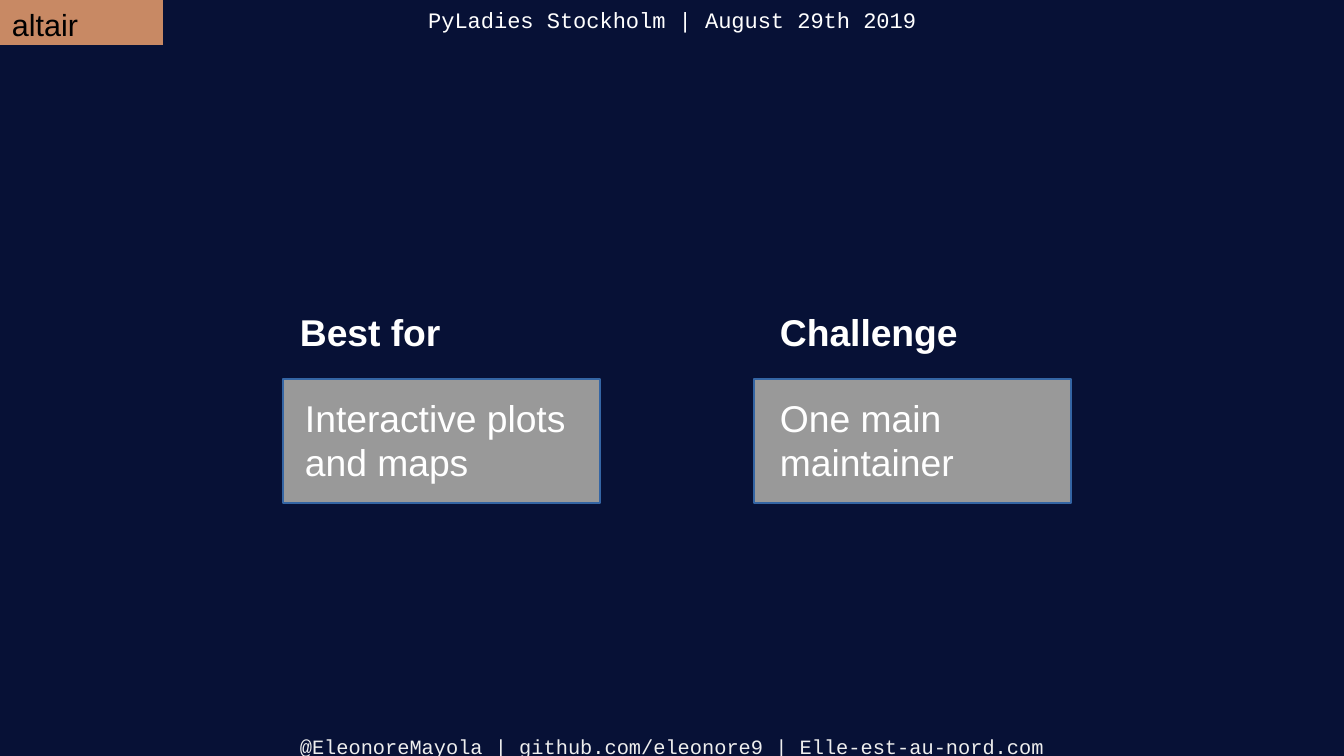
from dataclasses import dataclass

from lxml.etree import SubElement
from pptx import Presentation
from pptx.dml.color import RGBColor
from pptx.enum.shapes import MSO_SHAPE
from pptx.enum.text import MSO_ANCHOR, PP_ALIGN
from pptx.oxml.ns import qn
from pptx.shapes.autoshape import Shape
from pptx.slide import Slide
from pptx.util import Emu, Pt

PIXELS_PER_INCH = 122


@dataclass(frozen=True)
class Theme:
    background: str = "071136"
    tag: str = "F9A870"
    panel: str = "999999"
    panel_line: str = "3465A4"
    white: str = "FFFFFF"
    pale: str = "EEEEEE"
    black: str = "000000"
    body_font: str = "Arial"
    code_font: str = "Courier New"
    body_size: int = 22
    tag_size: int = 18
    header_size: int = 13
    footer_size: int = 12
    tag_opacity: int = 80


THEME = Theme()


@dataclass(frozen=True)
class Area:
    left: int
    top: int
    width: int
    height: int

    def emu(self) -> list[Emu]:
        return [px(v) for v in (self.left, self.top, self.width, self.height)]


@dataclass(frozen=True)
class TextStyle:
    size: int
    color: str
    font: str = THEME.body_font
    bold: bool = False
    align: PP_ALIGN = PP_ALIGN.LEFT


@dataclass(frozen=True)
class Column:
    heading: str
    body: str
    panel_left: int
    heading_left: int
    body_left: int
    body_width: int


HEADING = TextStyle(THEME.body_size, THEME.white, bold=True)
BODY = TextStyle(THEME.body_size, THEME.white)
TAG = TextStyle(THEME.tag_size, THEME.black)
HEADER = TextStyle(THEME.header_size, THEME.white, THEME.code_font, align=PP_ALIGN.CENTER)
FOOTER = TextStyle(THEME.footer_size, THEME.pale, THEME.code_font, align=PP_ALIGN.CENTER)

COLUMNS = [
    Column("Best for", "Interactive plots and maps", 283, 288, 293, 355),
    Column("Challenge", "One main maintainer", 754, 768, 768, 278),
]


def px(value: int) -> Emu:
    return Emu(round(value * 914400 / PIXELS_PER_INCH))


def write(box: Shape, text: str, style: TextStyle) -> None:
    frame = box.text_frame
    frame.word_wrap = True
    frame.vertical_anchor = MSO_ANCHOR.TOP
    para = frame.paragraphs[0]
    para.alignment = style.align
    span = para.add_run()
    span.text = text
    formats = {"name": style.font, "size": Pt(style.size), "bold": style.bold}
    for name, value in formats.items():
        setattr(span.font, name, value)
    span.font.color.rgb = RGBColor.from_string(style.color)


def add_text(page: Slide, area: Area, text: str, style: TextStyle) -> None:
    write(page.shapes.add_textbox(*area.emu()), text, style)


def add_block(page: Slide, area: Area, color: str) -> Shape:
    block = page.shapes.add_shape(MSO_SHAPE.RECTANGLE, *area.emu())
    block.shadow.inherit = False
    block.fill.solid()
    block.fill.fore_color.rgb = RGBColor.from_string(color)
    block.line.fill.background()
    return block


def add_tag(page: Slide, area: Area, text: str) -> None:
    tag = add_block(page, area, THEME.tag)
    color = tag.fill._xPr.find(qn("a:solidFill"))[0]
    SubElement(color, qn("a:alpha"), val=str(THEME.tag_opacity * 1000))
    write(tag, text, TAG)


def add_column(page: Slide, column: Column) -> None:
    add_text(page, Area(column.heading_left, 303, 288, 54), column.heading, HEADING)
    panel = add_block(page, Area(column.panel_left, 379, 317, 124), THEME.panel)
    panel.line.color.rgb = RGBColor.from_string(THEME.panel_line)
    panel.line.width = Pt(0)
    add_text(page, Area(column.body_left, 389, column.body_width, 100), column.body, BODY)


def main() -> None:
    deck = Presentation()
    deck.slide_width, deck.slide_height = px(1344), px(756)
    page = deck.slides.add_slide(deck.slide_layouts[6])
    page.background.fill.solid()
    page.background.fill.fore_color.rgb = RGBColor.from_string(THEME.background)

    # Header, topic tag and footer
    add_text(page, Area(216, 0, 912, 48), "PyLadies Stockholm | August 29th 2019", HEADER)
    add_tag(page, Area(0, 0, 163, 45), "altair")
    add_text(
        page,
        Area(240, 728, 864, 28),
        "@EleonoreMayola | github.com/eleonore9 | Elle-est-au-nord.com",
        FOOTER,
    )

    # Strength and weakness
    for column in COLUMNS:
        add_column(page, column)

    deck.save("out.pptx")


if __name__ == "__main__":
    main()
